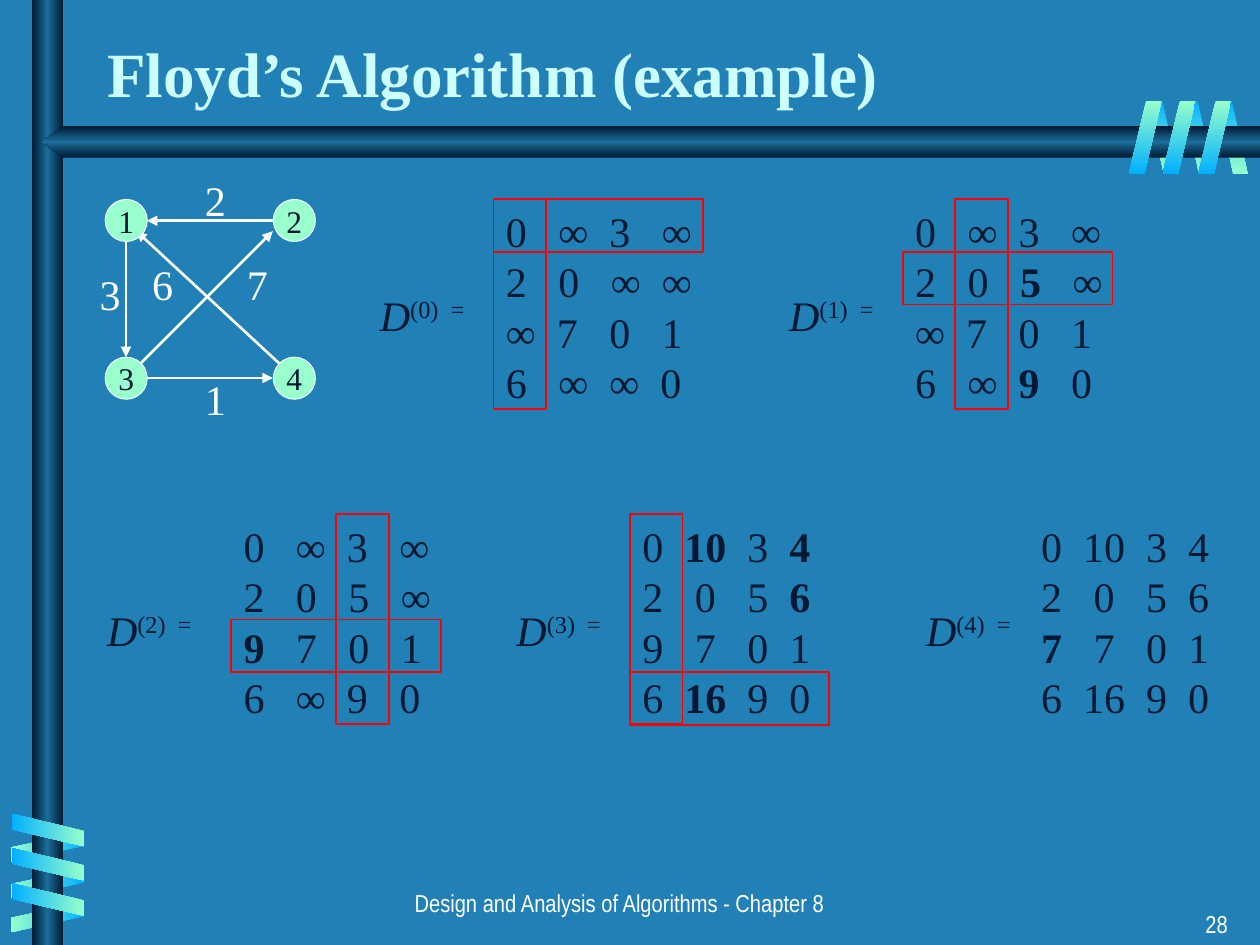
from dataclasses import dataclass
from lxml import etree
from pptx import Presentation
from pptx.dml.color import RGBColor
from pptx.enum.shapes import MSO_CONNECTOR as Connector, MSO_SHAPE as Shape
from pptx.enum.text import MSO_ANCHOR as Anchor, PP_ALIGN as Align
from pptx.oxml import parse_xml
from pptx.oxml.ns import nsdecls, qn
from pptx.util import Cm, Pt


@dataclass(frozen=True)
class Theme:
    background: str = "2181B7"
    title: str = "CCFFFF"
    dark: str = "001932"
    bar: str = "1C6D9A"
    light: str = "FFFFFF"
    mint: str = "99FFCC"
    blue: str = "01B0FF"
    red: str = "FF0000"
    serif: str = "Times New Roman"
    narrow: str = "Arial Narrow"
    title_size: int = 36
    body_size: int = 24
    node_size: int = 18
    footer_size: int = 14


theme = Theme()


def fill_gradient(shape, colors, angle):
    shape.shadow.inherit = False
    shape.line.fill.background()
    last = len(colors) - 1
    stops = "".join(
        f'<a:gs pos="{100000 * index // last}"><a:srgbClr val="{color}"/></a:gs>'
        for index, color in enumerate(colors)
    )
    gradient = parse_xml(
        f'<a:gradFill {nsdecls("a")} rotWithShape="0"><a:gsLst>{stops}</a:gsLst>'
        f'<a:lin ang="{angle * 60000}" scaled="0"/></a:gradFill>'
    )
    shape._element.spPr.find(qn("a:ln")).addprevious(gradient)


def write_lines(shape, lines, color, size, align=Align.LEFT, font=theme.serif, spacing=None):
    frame = shape.text_frame
    frame.word_wrap = True
    for index, runs in enumerate(lines):
        paragraph = frame.add_paragraph() if index else frame.paragraphs[0]
        paragraph.alignment = align
        paragraph.line_spacing = spacing
        for text, formats in runs:
            run = paragraph.add_run()
            run.text = text
            run.font.color.rgb = RGBColor.from_string(color)
            for name, value in {"name": font, "size": Pt(size), **formats}.items():
                setattr(run.font, name, value)
    return frame


presentation = Presentation()
presentation.slide_width = Cm(25.4)
presentation.slide_height = Cm(19.05)
slide = presentation.slides.add_slide(presentation.slide_layouts[5])
slide.background.fill.solid()
slide.background.fill.fore_color.rgb = RGBColor.from_string(theme.background)
shapes = slide.shapes

title = shapes.title
for name, value in {"left": 1.91, "top": 0, "width": 23.49, "height": 2.34}.items():
    setattr(title, name, Cm(value))
title_frame = write_lines(
    title, [[("Floyd’s Algorithm (example)", {"bold": True})]], theme.title, theme.title_size
)
title_frame.vertical_anchor = Anchor.BOTTOM

bar_colors = (theme.dark, theme.bar, theme.dark)
back_colors = (theme.blue, theme.mint)
front_colors = (theme.mint, theme.blue)
ribbon_layers = [
    ((24.54, 23.85, 23.14), (2.03,) * 3, 0.61, 180, True, back_colors, 90),
    ((0.66,) * 3, (16.33, 17.07, 17.75), 0.61, 90, True, back_colors, 0),
    ((0.64,) * 3, (16, 16.69, 17.4), 0.66, 270, False, front_colors, 180),
    ((24.16, 23.44, 22.76), (2.03,) * 3, 0.66, 0, False, front_colors, 90),
]
for layer, (lefts, tops, width, rotation, flipped, colors, angle) in enumerate(ribbon_layers):
    if layer == 2:
        post = shapes.add_shape(Shape.RECTANGLE, Cm(0.64), 0, Cm(0.64), Cm(19.05))
        fill_gradient(post, bar_colors, 0)
        builder = shapes.build_freeform(Cm(25.4), Cm(2.54))
        corners = [(1.27, 2.54), (0.84, 2.86), (1.27, 3.18), (25.4, 3.18)]
        builder.add_line_segments([(Cm(x), Cm(y)) for x, y in corners], close=True)
        fill_gradient(builder.convert_to_shape(), bar_colors, 90)
    for left, top in zip(lefts, tops):
        ribbon = shapes.add_shape(Shape.PARALLELOGRAM, Cm(left), Cm(top), Cm(width), Cm(1.47))
        ribbon.adjustments[0] = 0.53
        ribbon.rotation = rotation
        if flipped:
            ribbon._element.spPr.xfrm.set("flipH", "1")
        fill_gradient(ribbon, colors, angle)

cell = 1.06
span = 4.23
matrices = [
    ("D", 7.41, 9.95, 4.02, (0, 0, span),
     ["0   ∞  3   ∞", "2   0   ∞  ∞", "∞  7   0   1", "6   ∞  ∞  0"]),
    ("D", 15.66, 18.2, 4.02, (1, 1, span),
     ["0   ∞  3   ∞", "2   0   *5*   ∞", "∞  7   0   1", "6   ∞  *9*   0"]),
    ("D", 1.91, 4.66, 10.37, (2, 2, span),
     ["0   ∞  3   ∞", "2   0   5   ∞", "*9*   7   0   1", "6   ∞  9   0"]),
    (" D", 9.95, 12.7, 10.37, (3, 0, 4.02),
     ["0  *10*  3  *4*", "2   0   5  *6*", "9   7   0  1", "6  *16*  9  0"]),
    ("D", 18.42, 20.74, 10.37, None,
     ["0  10  3  4", "2   0   5  6", "*7*   7   0  1", "6  16  9  0"]),
]
for step, (symbol, label_left, left, top, pivot, rows) in enumerate(matrices):
    matrix = shapes.add_textbox(Cm(left), Cm(top), Cm(4.45), Cm(4.32))
    lines = [
        [(part, {"bold": index % 2 == 1}) for index, part in enumerate(row.split("*")) if part]
        for row in rows
    ]
    write_lines(matrix, lines, theme.dark, theme.body_size, spacing=Pt(28.8))
    label = shapes.add_textbox(Cm(label_left), Cm(top + 1.69), Cm(2.75), Cm(1.27))
    label_runs = [(symbol, {"italic": True}), (f"({step})  =", {})]
    label_frame = write_lines(label, [label_runs], theme.dark, theme.body_size)
    label_frame.paragraphs[0].runs[1].font._element.set("baseline", "30000")
    if pivot:
        row, column, row_width = pivot
        for x, y, width, height in (
            (left, top + row * cell, row_width, cell),
            (left + column * cell, top, cell, span),
        ):
            frame_box = shapes.add_shape(Shape.RECTANGLE, Cm(x), Cm(y), Cm(width), Cm(height))
            frame_box.shadow.inherit = False
            frame_box.fill.background()
            frame_box.line.color.rgb = RGBColor.from_string(theme.red)
            frame_box.line.width = Pt(1)

edges = [
    (2.54, 4.87, 2.54, 7.2),
    (5.5, 4.45, 2.96, 4.45),
    (2.96, 7.62, 5.5, 7.62),
    (2.75, 7.41, 5.5, 4.66),
    (5.72, 7.41, 2.75, 4.66),
]
for ends in edges:
    edge = shapes.add_connector(Connector.STRAIGHT, *map(Cm, ends))
    edge.line.color.rgb = RGBColor.from_string(theme.light)
    edge.line.width = Pt(1.5)
    etree.SubElement(edge.line._get_or_add_ln(), qn("a:tailEnd"), type="triangle")
    etree.SubElement(edge._element.spPr, qn("a:effectLst"))

weights = [("1", 3.81, 7.41), ("3", 1.69, 5.29), ("2", 3.81, 3.39), ("6", 2.75, 5.08), ("7", 4.66, 5.08)]
for text, left, top in weights:
    weight = shapes.add_textbox(Cm(left), Cm(top), Cm(1.06), Cm(1.27))
    write_lines(weight, [[(text, {})]], theme.light, theme.body_size, Align.CENTER, spacing=Pt(28.8))

for index in range(4):
    row, column = divmod(index, 2)
    node = shapes.add_shape(
        Shape.OVAL, Cm(2.12 + column * 3.39), Cm(4.02 + row * 3.18), Cm(0.85), Cm(0.85)
    )
    node.shadow.inherit = False
    node.fill.solid()
    node.fill.fore_color.rgb = RGBColor.from_string(theme.mint)
    node.line.color.rgb = RGBColor.from_string(theme.light)
    node.line.width = Pt(0.5)
    node_frame = write_lines(node, [[(str(index + 1), {})]], theme.dark, theme.node_size, Align.CENTER)
    node_frame.word_wrap = False
    node_frame.vertical_anchor = Anchor.MIDDLE

footers = [
    ("Design and Analysis of Algorithms - Chapter 8", 3.6, 17.78, 17.78, Align.CENTER),
    ("28", 19.71, 18.2, 5.29, Align.RIGHT),
]
for text, left, top, width, align in footers:
    footer = shapes.add_textbox(Cm(left), Cm(top), Cm(width), Cm(0.85))
    write_lines(footer, [[(text, {})]], theme.light, theme.footer_size, align, theme.narrow)

presentation.save("out.pptx")
